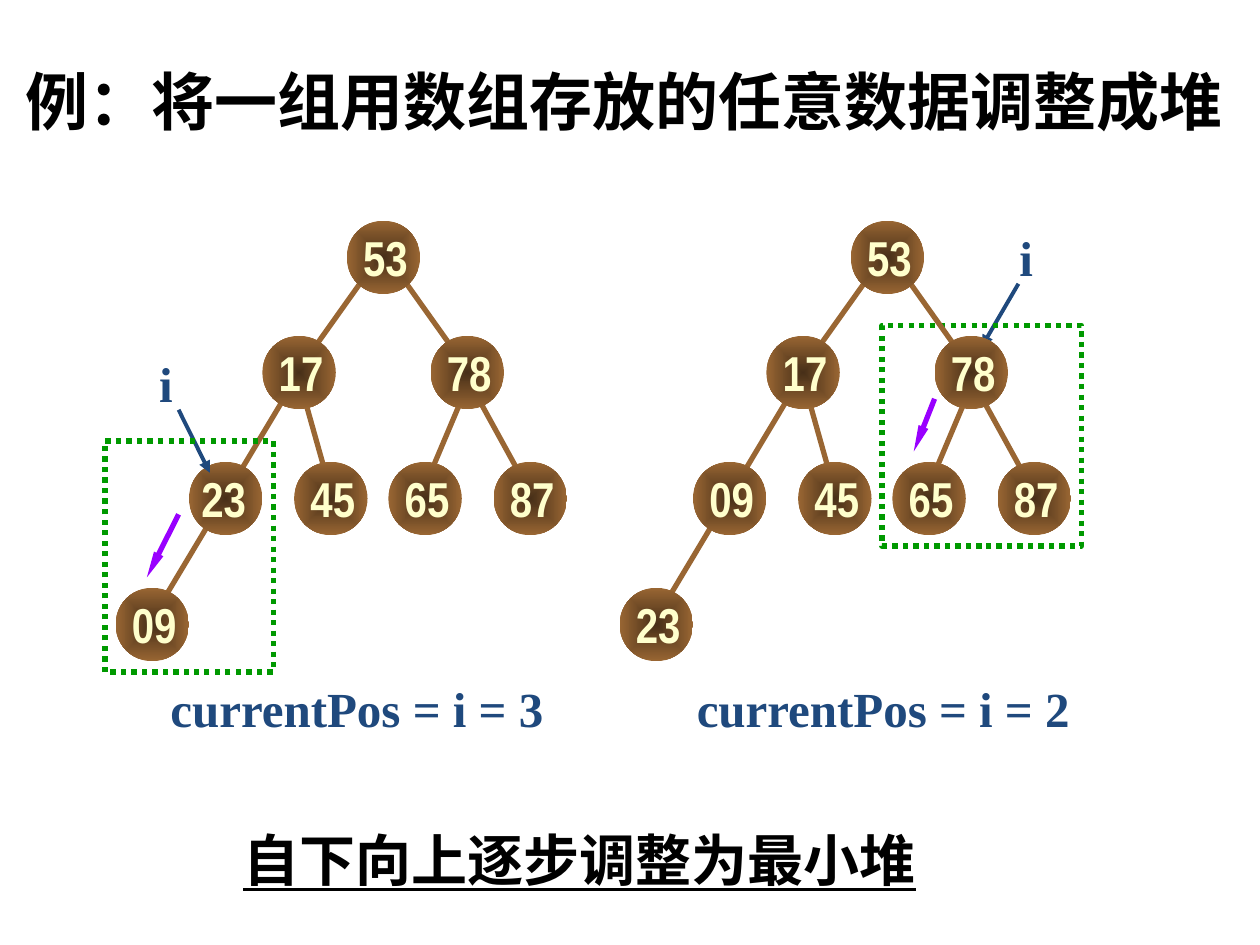
import pptx
import pptx.dml.color
import pptx.enum.dml
import pptx.enum.shapes
import pptx.enum.text
import pptx.oxml
import pptx.oxml.ns
import pptx.util

Cm = pptx.util.Cm
Pt = pptx.util.Pt
ALIGN = pptx.enum.text.PP_ALIGN
ANCHOR = pptx.enum.text.MSO_ANCHOR
SHAPE = pptx.enum.shapes.MSO_SHAPE
QN = pptx.oxml.ns.qn

BROWN, DARK, CREAM = "996633", "472F18", "FFFFCC"
NAVY, GREEN, VIOLET, BLACK = "1F497D", "009900", "9900FF", "000000"

SIZE = 1.48
SHIFT = 10.16  # from the left tree to the right tree
ROWS = [4.45, 6.77, 9.31, 11.85]
# column position and row number of each node, in heap order
NODES = [(6.99, 0), (5.29, 1), (8.68, 1), (3.81, 2),
         (5.93, 2), (7.83, 2), (9.95, 2), (2.33, 3)]
EDGES = [(9.53, 7.83, 10.58, 9.74), (9.31, 8.04, 8.68, 9.53),
         (8.04, 5.5, 9.1, 6.99), (6.14, 8.04, 6.56, 9.53),
         (7.41, 5.5, 6.35, 6.99), (5.72, 8.04, 3.18, 12.28)]


def color(code):
    return pptx.dml.color.RGBColor.from_string(code)


class Deck:
    node = {"name": "Arial Narrow", "size": Pt(28), "bold": True}
    note = {"name": "Times New Roman", "size": Pt(28), "bold": True}
    head = {"name": "Arial", "size": Pt(36), "bold": True}
    goal = {"name": "Times New Roman", "size": Pt(32), "bold": True,
            "underline": True}

    def __init__(self, slide):
        self.slide = slide
        self.shapes = slide.shapes

    def set_text(self, shape, text, font, ink, align, anchor, wrap):
        frame = shape.text_frame
        frame.text = text
        frame.word_wrap = wrap
        frame.vertical_anchor = anchor
        frame.auto_size = pptx.enum.text.MSO_AUTO_SIZE.SHAPE_TO_FIT_TEXT
        para = frame.paragraphs[0]
        para.alignment = align
        run = para.runs[0]
        for key, val in font.items():
            setattr(run.font, key, val)
        run.font.color.rgb = color(ink)
        return para

    def fill_in(self, spot, text, font, box, wrap):
        """Move a placeholder to box and give it one plain line of text."""
        shape = self.slide.placeholders[spot]
        for key, val in zip(("left", "top", "width", "height"), box):
            setattr(shape, key, Cm(val))
        para = self.set_text(shape, text, font, BLACK, ALIGN.LEFT,
                             ANCHOR.TOP, wrap)
        props = para._p.get_or_add_pPr()
        props.set("marL", "0")
        props.set("indent", "0")
        props.append(pptx.oxml.parse_xml(
            "<a:buNone %s/>" % pptx.oxml.ns.nsdecls("a")))

    def label(self, text, x, y, width, font, ink):
        box = self.shapes.add_textbox(Cm(x), Cm(y), Cm(width), Cm(1.45))
        self.set_text(box, text, font, ink, ALIGN.CENTER, ANCHOR.MIDDLE, False)

    def line(self, ends, ink, width, tip=None):
        """Draw a line; tip gives the arrowhead's width and length."""
        line = self.shapes.add_connector(
            pptx.enum.shapes.MSO_CONNECTOR.STRAIGHT, *map(Cm, ends))
        line.line.color.rgb = color(ink)
        line.line.width = Pt(width)
        props = line._element.spPr
        if tip:
            end = props.makeelement(
                QN("a:tailEnd"), {"type": "triangle", "w": tip[0], "len": tip[1]})
            props.find(QN("a:ln")).append(end)
        props.append(props.makeelement(QN("a:effectLst"), {}))

    def frame(self, box):
        rect = self.shapes.add_shape(SHAPE.RECTANGLE, *map(Cm, box))
        rect.shadow.inherit = False
        rect.fill.background()
        rect.line.color.rgb = color(GREEN)
        rect.line.width = Pt(3)
        rect.line.dash_style = pptx.enum.dml.MSO_LINE.ROUND_DOT

    def ball(self, x, y):
        """Draw a node disc, dark in the middle."""
        disc = self.shapes.add_shape(
            SHAPE.OVAL, Cm(x), Cm(y), Cm(SIZE), Cm(SIZE))
        disc.shadow.inherit = False
        disc.line.fill.background()
        disc.fill.gradient()
        for stop, ink, pos in zip(disc.fill.gradient_stops, (DARK, BROWN), (0, 1)):
            stop.color.rgb = color(ink)
            stop.position = pos
        grad = disc._element.spPr.find(QN("a:gradFill"))
        grad.replace(grad.find(QN("a:lin")), pptx.oxml.parse_xml(
            '<a:path %s path="rect"><a:fillToRect l="50000" t="50000" '
            'r="50000" b="50000"/></a:path>' % pptx.oxml.ns.nsdecls("a")))

    def tree(self, shift, keys, flush=None):
        """Draw a heap; the label numbered flush starts at its disc's edge."""
        for x1, y1, x2, y2 in EDGES:
            self.line((x1 + shift, y1, x2 + shift, y2), BROWN, 3)
        for x, row in NODES:
            self.ball(x + shift, ROWS[row])
        for num, (key, (x, row)) in enumerate(zip(keys, NODES)):
            gap = 0 if num == flush else 0.08
            self.label(key, x + shift + gap, ROWS[row], 1.4, self.node, CREAM)

    def mark(self, spot, ends, box):
        """Point i at the current node and frame its subtree."""
        self.line(ends, NAVY, 2.25, ("med", "med"))
        self.label("i", *spot, 0.79, self.note, NAVY)
        self.frame(box)

    def sift(self, ends):
        self.line(ends, VIOLET, 3, ("sm", "lg"))


def main():
    show = pptx.Presentation()
    show.slide_width, show.slide_height = Cm(25.4), Cm(19.05)
    deck = Deck(show.slides.add_slide(show.slide_layouts[1]))

    deck.fill_in(0, "例：将一组用数组存放的任意数据调整成堆", deck.head,
                 (0.25, 1.14, 24.64, 1.78), False)
    deck.fill_in(1, "自下向上逐步调整为最小堆", deck.goal,
                 (4.65, 16.51, 17.25, 1.63), True)

    deck.tree(0, ["53", "17", "78", "23", "45", "65", "87", "09"], 3)
    deck.mark((2.95, 6.99), (3.6, 8.26, 4.23, 9.53), (2.12, 8.89, 3.39, 4.66))
    deck.label("currentPos = i = 3", 3.18, 13.55, 8.03, deck.note, NAVY)
    deck.sift((3.6, 10.37, 2.96, 11.64))

    deck.label("currentPos = i = 2", 13.79, 13.55, 8.03, deck.note, NAVY)
    deck.mark((20.29, 4.45), (20.53, 5.72, 19.79, 6.99),
              (17.78, 6.56, 4.02, 4.45))
    deck.tree(SHIFT, ["53", "17", "78", "09", "45", "65", "87", "23"])
    deck.sift((18.84, 8.04, 18.42, 9.1))

    show.save("out.pptx")


if __name__ == "__main__":
    main()
